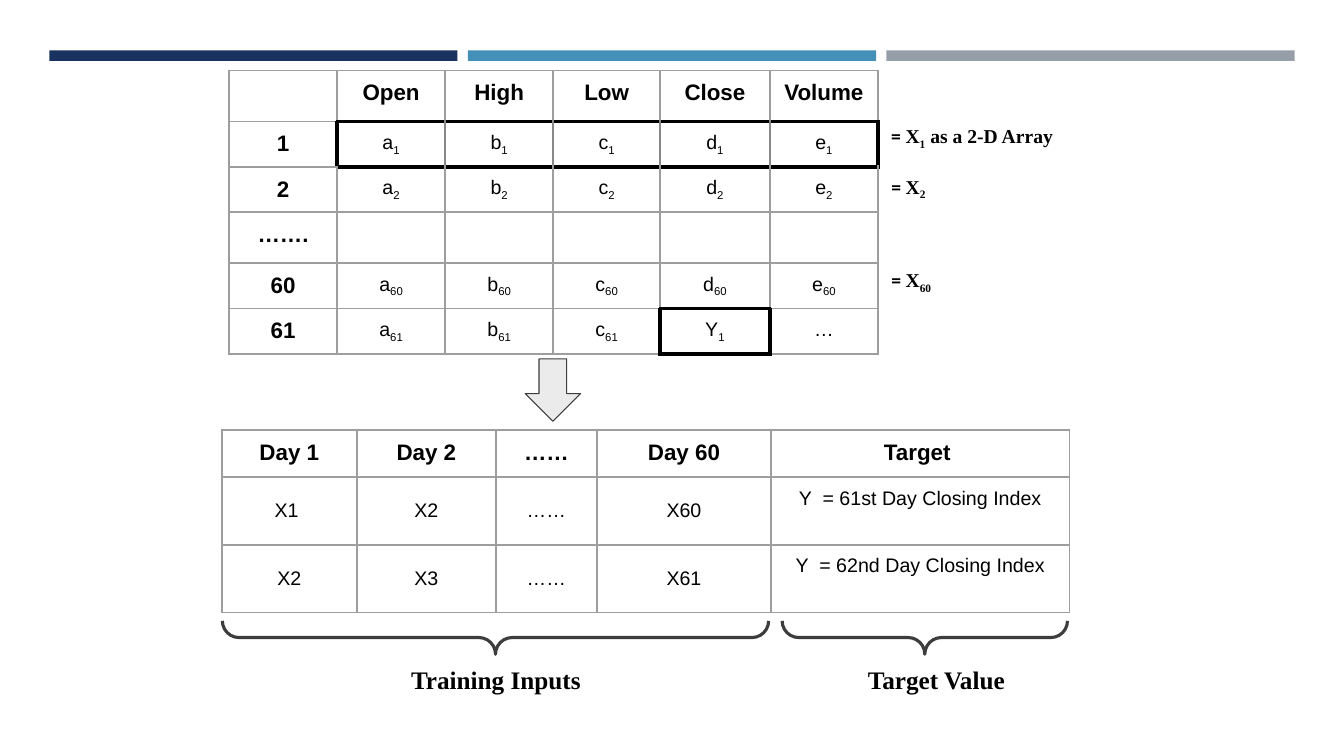
import pptx
import pptx.dml.color
import pptx.enum.shapes
import pptx.enum.text
import pptx.oxml
import pptx.oxml.ns
import pptx.util

Pt = pptx.util.Pt
RGBColor = pptx.dml.color.RGBColor
SHAPES = pptx.enum.shapes.MSO_SHAPE
ALIGN = pptx.enum.text.PP_ALIGN
ANCHOR = pptx.enum.text.MSO_ANCHOR

NAVY = RGBColor(0x1A, 0x32, 0x60)
BLUE = RGBColor(0x45, 0x90, 0xB8)
SLATE = RGBColor(0x96, 0x9F, 0xA7)
BLACK = RGBColor(0, 0, 0)
GRID = RGBColor(0x9E, 0x9E, 0x9E)
INNER = RGBColor(0x88, 0x88, 0x88)
PALE = RGBColor(0xEB, 0xEB, 0xEB)
CHARCOAL = RGBColor(0x3D, 0x3D, 0x3D)

HEADING = {"size": Pt(16), "name": "Arial", "bold": True}
VALUE = {"size": Pt(14), "name": "Arial", "bold": False}
EQUALS = {"size": Pt(14), "name": "Calibri", "bold": True}
SYMBOL = {"size": Pt(14), "name": "Times New Roman", "bold": True}
CAPTION = {"size": Pt(18), "name": "Times New Roman", "bold": True}
INSETS = {f"margin_{side}": Pt(7.2) for side in ("left", "right", "top", "bottom")}
BOX = {**INSETS, "word_wrap": True,
       "auto_size": pptx.enum.text.MSO_AUTO_SIZE.SHAPE_TO_FIT_TEXT}


def apply(target, values):
    """Set each named value on the target."""
    for key, value in values.items():
        setattr(target, key, value)


def add_run(paragraph, text, style, baseline=0):
    """Append a black run, lowered when the baseline is negative."""
    run = paragraph.add_run()
    run.text = text
    apply(run.font, style)
    run.font.color.rgb = BLACK
    if baseline:
        run._r.get_or_add_rPr().set("baseline", str(baseline))


def add_symbol(paragraph, text, style):
    """Write a symbol whose subscript follows an underscore."""
    base, _, subscript = text.partition("_")
    add_run(paragraph, base, style)
    if subscript:
        add_run(paragraph, subscript, style, -25000)


def add_label(slide, left, top, width, height):
    """Add an empty text box and return its paragraph."""
    label = slide.shapes.add_textbox(Pt(left), Pt(top), Pt(width), Pt(height))
    apply(label.text_frame, BOX)
    return label.text_frame.paragraphs[0]


def add_note(slide, top, width, symbol, tail=""):
    """Add the equation beside a row of the price table."""
    paragraph = add_label(slide, 626.4, top, width, 31.7)
    add_run(paragraph, " = ", EQUALS)
    add_symbol(paragraph, symbol, SYMBOL)
    if tail:
        add_run(paragraph, tail, SYMBOL)


def add_caption(slide, left, text):
    """Add a centred caption below a brace."""
    paragraph = add_label(slide, left, 467.3, 191.5, 36)
    paragraph.alignment = ALIGN.CENTER
    add_run(paragraph, text, CAPTION)


def add_figure(slide, kind, box, fill=None, line=None, weight=0):
    """Add a preset shape with an optional fill and outline."""
    figure = slide.shapes.add_shape(kind, *map(Pt, box))
    figure.shadow.inherit = False
    if fill is None:
        figure.fill.background()
    else:
        figure.fill.solid()
        figure.fill.fore_color.rgb = fill
    if line is None:
        figure.line.fill.background()
    else:
        figure.line.color.rgb = line
        figure.line.width = Pt(weight)
    return figure


def add_brace(slide, left, width):
    """Add a brace that opens upwards under the lower table."""
    depth, middle = 23.8, 455.4
    box = (left + (width - depth) / 2, middle - width / 2, depth, width)
    brace = add_figure(slide, SHAPES.RIGHT_BRACE, box, line=CHARCOAL, weight=2.25)
    brace.adjustments[0] = 0.5
    brace.rotation = 90


def draw_borders(cell, row, column, frames):
    """Draw heavy edges wherever neighbouring cells differ in frame."""
    here = frames.get((row, column))
    neighbours = {"L": (row, column - 1), "R": (row, column + 1),
                  "T": (row - 1, column), "B": (row + 1, column)}
    properties = cell._tc.get_or_add_tcPr()
    for index, (side, place) in enumerate(neighbours.items()):
        heavy = frames.get(place) != here
        colour = BLACK if heavy else INNER if here else GRID
        properties.insert(index, pptx.oxml.parse_xml(
            f'<a:ln{side} {pptx.oxml.ns.nsdecls("a")} w="{Pt(3 if heavy else 1.5)}">'
            f'<a:solidFill><a:srgbClr val="{colour}"/></a:solidFill></a:ln{side}>'))


def add_grid(slide, left, top, widths, heights, rows, is_heading, is_middle, frames):
    """Add a centred table with plain cells and framed groups."""
    table = slide.shapes.add_table(len(rows), len(widths), Pt(left), Pt(top),
                                   Pt(sum(widths)), Pt(sum(heights))).table
    apply(table, {"first_row": False, "horz_banding": False})
    for column, width in zip(table.columns, widths):
        column.width = Pt(width)
    for r, (texts, height) in enumerate(zip(rows, heights)):
        table.rows[r].height = Pt(height)
        for c, text in enumerate(texts):
            cell = table.cell(r, c)
            apply(cell, INSETS)
            cell.vertical_anchor = ANCHOR.MIDDLE if is_middle(r, c) else ANCHOR.TOP
            cell.fill.background()
            draw_borders(cell, r, c, frames)
            paragraph = cell.text_frame.paragraphs[0]
            paragraph.alignment = ALIGN.CENTER
            if text:
                add_symbol(paragraph, text, HEADING if is_heading(r, c) else VALUE)


def add_price_table(slide):
    """Add the daily prices with the input row and target cell framed."""
    def prices(day, letters="abcde"):
        return [str(day)] + [f"{letter}_{day}" for letter in letters]

    rows = [["", "Open", "High", "Low", "Close", "Volume"], prices(1), prices(2),
            ["……."] + [""] * 5, prices(60), prices(61, "abc") + ["Y_1", "…"]]
    frames = {(1, column): "input" for column in range(1, 6)}
    frames[5, 4] = "target"
    add_grid(slide, 163.6, 50.4, [77.2, 77.2, 77.2, 76.3, 78.5, 77.2],
             [35, 32.2, 32.2, 35, 32.2, 32.2], rows,
             lambda r, c: r == 0 or c == 0, lambda r, c: False, frames)


def add_training_table(slide):
    """Add the windows of days with their targets."""
    rows = [["Day 1", "Day 2", "……", "Day 60", "Target "],
            ["X1 ", "X2", "……", "X60", "Y  = 61st Day Closing Index"],
            ["X2", "X3", "……", "X61", "Y  = 62nd Day Closing Index"]]
    add_grid(slide, 158.4, 307.3, [96.5, 99.4, 72, 124.6, 213.1], [33.6, 48.3, 48.3],
             rows, lambda r, c: r == 0, lambda r, c: r > 0 and c < 4, {})


def main():
    """Build the slide and save it."""
    deck = pptx.Presentation()
    apply(deck, {"slide_width": Pt(960), "slide_height": Pt(540)})
    slide = deck.slides.add_slide(deck.slide_layouts[6])
    for index, colour in enumerate((NAVY, BLUE, SLATE)):
        add_figure(slide, SHAPES.RECTANGLE, (35.2 + 299 * index, 36, 291.6, 7.5), colour)
    add_price_table(slide)
    add_note(slide, 81.4, 169.9, "X_1", " as a 2-D Array")
    add_note(slide, 117.4, 71.3, "X_2")
    add_note(slide, 184.3, 71.3, "X_60")
    add_training_table(slide)
    add_figure(slide, SHAPES.DOWN_ARROW, (375.1, 256.3, 39.6, 44.6), PALE, CHARCOAL, 0.75)
    add_brace(slide, 158.8, 390.2)
    add_brace(slide, 558.7, 203.8)
    add_caption(slide, 573.1, "Target Value")
    add_caption(slide, 258.5, "Training Inputs")
    deck.save("out.pptx")


if __name__ == "__main__":
    main()
